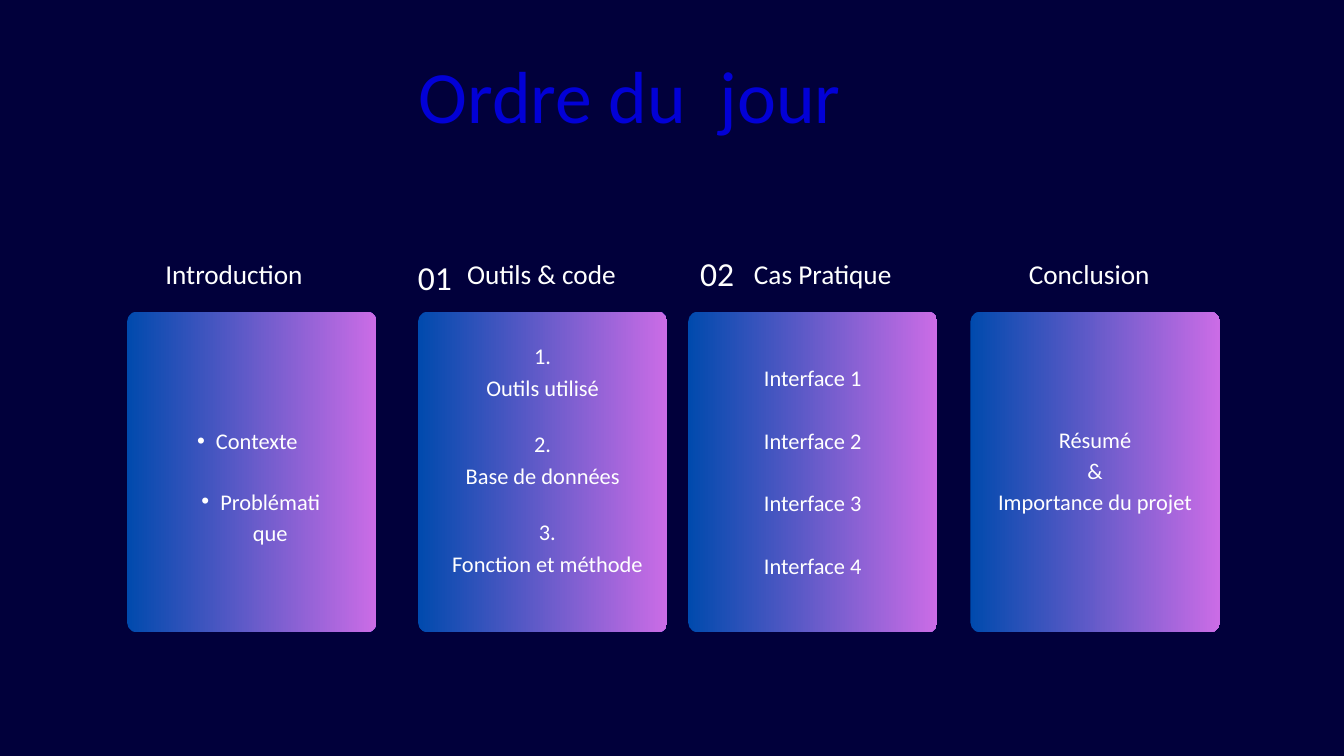
from dataclasses import dataclass

from lxml import etree
from pptx import Presentation
from pptx.dml.color import RGBColor
from pptx.enum.shapes import MSO_SHAPE
from pptx.enum.text import MSO_ANCHOR, MSO_AUTO_SIZE, PP_ALIGN
from pptx.oxml.ns import qn
from pptx.util import Inches, Pt

ROUNDED = MSO_SHAPE.ROUNDED_RECTANGLE
TOP = MSO_ANCHOR.TOP
NO_AUTOFIT = MSO_AUTO_SIZE.NONE
LEFT, CENTER = PP_ALIGN.LEFT, PP_ALIGN.CENTER

# A grid of 100 columns and 100 rows covers the slide
SLIDE_WIDTH, SLIDE_HEIGHT = 20, 11.25
COLUMN, ROW = SLIDE_WIDTH / 100, SLIDE_HEIGHT / 100
CARD_TOP, CARD_WIDTH, CARD_HEIGHT = 41.24, 18.55, 42.4
HEADING_TOP = 33.69
COMPARISON_LAYOUT = 4  # a title and four body placeholders

COLORS = {
    "background": "01003B",
    "title": "0200D6",
    "text": "FFFFFF",
    "card_start": "004AAD",
    "card_end": "CB6CE6",
}


@dataclass(frozen=True)
class Box:
    column: float
    row: float
    columns: float
    rows: float


@dataclass(frozen=True)
class Style:
    size: float
    line: float
    align: PP_ALIGN = LEFT
    color: str = "text"


@dataclass(frozen=True)
class Line:
    text: str
    gap: float = 0  # points above
    indent: float = 0  # columns
    bullet: bool = False


@dataclass(frozen=True)
class Card:
    column: float
    heading: str
    heading_column: float
    body: Box
    lines: tuple[Line, ...]


TITLE = Style(79, 94.8, CENTER, "title")
HEADING = Style(29.2, 38)
NUMBER = Style(36, 56.5)
BODY = Style(24, 33.6, CENTER)
HANGING = 1.4  # columns between bullet and text

STEP_GAP = 27.1
CARDS = (
    Card(9.45, "Introduction", 12.3, Box(11.2, 55.91, 12.95, 11.82), (
        Line("Contexte", indent=2.85, bullet=True),
        Line("Problématique", 31.2, 4.85, True),
    )),
    Card(31.1, "Outils & code", 34.75, Box(31.1, 44.71, CARD_WIDTH, 31.2), (
        Line("1."), Line("Outils utilisé"),
        Line("2.", STEP_GAP), Line("Base de données"),
        Line("3.", STEP_GAP, 0.7), Line("Fonction et méthode", indent=0.7),
    )),
    Card(51.2, "Cas Pratique", 56.1, Box(51.2, 47.56, CARD_WIDTH, 28.27), tuple(
        Line(f"Interface {number}", BODY.line if number > 1 else 0)
        for number in range(1, 5)
    )),
    Card(72.2, "Conclusion", 76.55, Box(72.2, 55.73, CARD_WIDTH, 12), (
        Line("Résumé"), Line("&"), Line("Importance du projet"),
    )),
)
NUMBERS = {
    "01": Box(31.1, 32.36, 4, 6.5),
    "02": Box(52.1, 31.82, 4, 6.5),
}


def place(box: Box) -> tuple:
    """Turn grid units into left, top, width and height."""
    return (Inches(box.column * COLUMN), Inches(box.row * ROW),
            Inches(box.columns * COLUMN), Inches(box.rows * ROW))


def apply(target, values: dict) -> None:
    for name, value in values.items():
        setattr(target, name, value)


def set_bullet(paragraph, line: Line) -> None:
    properties = paragraph._p.get_or_add_pPr()
    hanging = HANGING if line.bullet else 0
    properties.set("marL", str(Inches(line.indent * COLUMN)))
    properties.set("indent", str(Inches(-hanging * COLUMN)))
    if line.bullet:
        etree.SubElement(properties, qn("a:buFont")).set("typeface", "Arial")
        etree.SubElement(properties, qn("a:buChar")).set("char", "•")
    else:
        etree.SubElement(properties, qn("a:buNone"))


def write(shape, box: Box, lines: tuple[Line, ...], style: Style) -> None:
    """Place a text shape and fill it with formatted paragraphs."""
    left, top, width, height = place(box)
    apply(shape, {"left": left, "top": top, "width": width, "height": height})
    frame = shape.text_frame
    apply(frame, {
        "margin_left": 0, "margin_top": 0, "margin_right": 0, "margin_bottom": 0,
        "word_wrap": True, "auto_size": NO_AUTOFIT, "vertical_anchor": TOP,
    })
    for index, line in enumerate(lines):
        paragraph = frame.add_paragraph() if index else frame.paragraphs[0]
        paragraph.text = line.text
        set_bullet(paragraph, line)
        apply(paragraph, {
            "alignment": style.align, "line_spacing": Pt(style.line),
            "space_before": Pt(line.gap), "space_after": Pt(0),
        })
        font = paragraph.runs[0].font
        apply(font, {"name": "Calibri", "size": Pt(style.size), "bold": False})
        font.color.rgb = RGBColor.from_string(COLORS[style.color])


def add_label(slide, text: str, box: Box, style: Style) -> None:
    write(slide.shapes.add_textbox(*place(box)), box, (Line(text),), style)


def draw_card(slide, card: Card, position: int) -> None:
    box = Box(card.column, CARD_TOP, CARD_WIDTH, CARD_HEIGHT)
    shape = slide.shapes.add_shape(ROUNDED, *place(box))
    shape.adjustments[0] = 0.04
    shape.shadow.inherit = False
    shape.line.fill.background()
    shape.fill.gradient()
    shape.fill.gradient_angle = 0
    for stop, name in zip(shape.fill.gradient_stops, ("card_start", "card_end")):
        stop.color.rgb = RGBColor.from_string(COLORS[name])
    # Cards lie behind the placeholders, after the two tree properties
    slide.shapes.element.insert(2 + position, shape.element)


def main() -> None:
    presentation = Presentation()
    presentation.slide_width = Inches(SLIDE_WIDTH)
    presentation.slide_height = Inches(SLIDE_HEIGHT)
    slide = presentation.slides.add_slide(presentation.slide_layouts[COMPARISON_LAYOUT])
    slide.background.fill.solid()
    slide.background.fill.fore_color.rgb = RGBColor.from_string(COLORS["background"])

    # Title
    title_box = Box(17.15, 6.58, 59.4, 11.64)
    write(slide.shapes.title, title_box, (Line("Ordre du  jour"),), TITLE)

    # Cards with their headings and lists
    bodies = list(slide.placeholders)[1:]
    for position, (card, body) in enumerate(zip(CARDS, bodies)):
        draw_card(slide, card, position)
        write(body, card.body, card.lines, BODY)
        heading_box = Box(card.heading_column, HEADING_TOP, 14.85, 4.6)
        add_label(slide, card.heading, heading_box, HEADING)

    # Section numbers
    for number, box in NUMBERS.items():
        add_label(slide, number, box, NUMBER)

    presentation.save("out.pptx")


if __name__ == "__main__":
    main()
